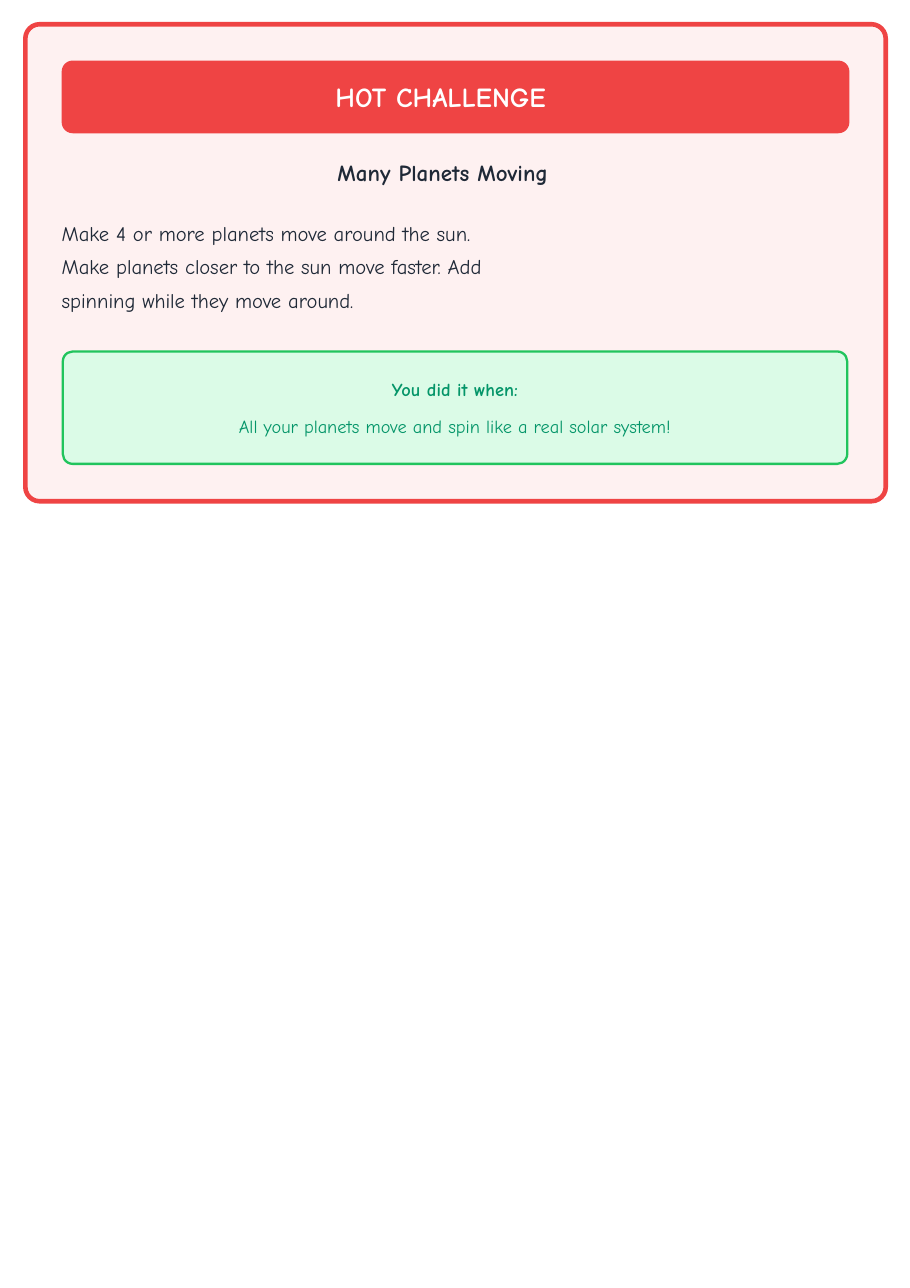
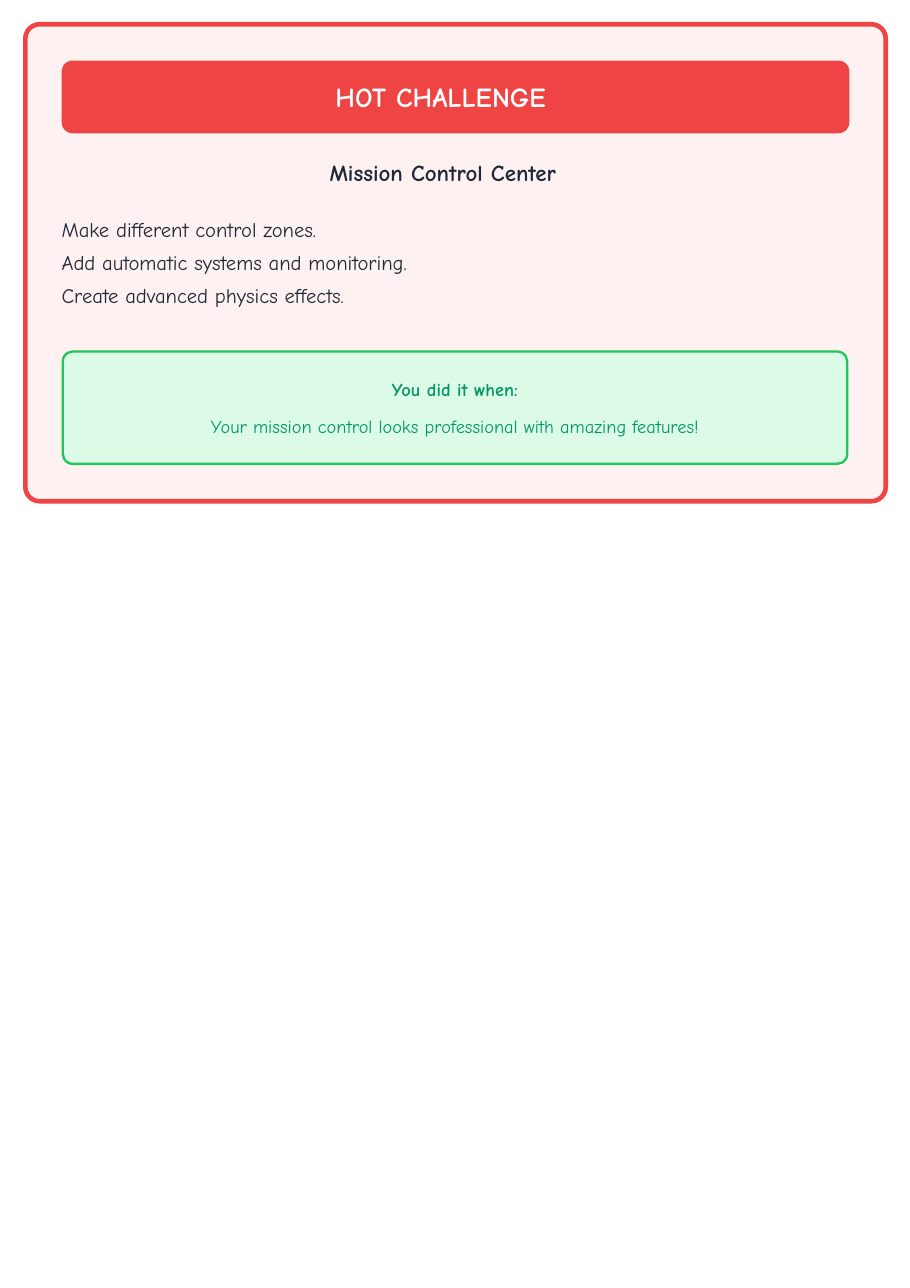
from pptx import Presentation
from pptx.dml.color import RGBColor
from pptx.enum.shapes import MSO_SHAPE
from pptx.enum.text import MSO_ANCHOR, PP_ALIGN
from pptx.util import Inches, Pt

FONT = "Comic Neue"
RED, PINK, WHITE, INK = "EF4444", "FEF1F1", "FFFFFF", "1F2937"
GREEN, MINT, DARK_GREEN = "21C45D", "DBFBE7", "049569"

CHALLENGES = [
    {
        "title": "Many Planets Moving",
        "steps_top": 1.93,
        "steps": [
            "Make 4 or more planets move around the sun.",
            "Make planets closer to the sun move faster. Add spinning while they move around.",
        ],
        "goal": "All your planets move and spin like a real solar system!",
    },
    {
        "title": "Mission Control Center",
        "steps_top": 1.89,
        "steps": [
            "Make different control zones.",
            "Add automatic systems and monitoring.",
            "Create advanced physics effects.",
        ],
        "goal": "Your mission control looks professional with amazing features!",
    },
]


def add_panel(slide, left, top, width, height, radius, fill, line=None, line_width=0):
    shape = slide.shapes.add_shape(
        MSO_SHAPE.ROUNDED_RECTANGLE,
        Inches(left), Inches(top), Inches(width), Inches(height))
    shape.adjustments[0] = radius / height
    shape.shadow.inherit = False
    shape.fill.solid()
    shape.fill.fore_color.rgb = RGBColor.from_string(fill)
    if line:
        shape.line.color.rgb = RGBColor.from_string(line)
        shape.line.width = Pt(line_width)
    else:
        shape.line.fill.background()
    return shape


def write(shape, lines, size, color, align=PP_ALIGN.CENTER, anchor=MSO_ANCHOR.MIDDLE,
          spacing=1.0, gap=0, right_inset=0):
    """Fill a shape with paragraphs given as (text, bold) pairs."""
    frame = shape.text_frame
    frame.word_wrap = True
    frame.vertical_anchor = anchor
    frame.margin_left = frame.margin_top = frame.margin_bottom = 0
    frame.margin_right = Inches(right_inset)
    for index, (text, bold) in enumerate(lines):
        paragraph = frame.add_paragraph() if index else frame.paragraphs[0]
        paragraph.text = text
        paragraph.alignment = align
        paragraph.line_spacing = spacing
        paragraph.space_before = Pt(gap if index else 0)
        paragraph.font.name = FONT
        paragraph.font.size = Pt(size)
        paragraph.font.bold = bold
        paragraph.font.color.rgb = RGBColor.from_string(color)


presentation = Presentation()
presentation.slide_width = Inches(8.26)
presentation.slide_height = Inches(11.69)

for challenge in CHALLENGES:
    slide = presentation.slides.add_slide(presentation.slide_layouts[6])

    # Card and banner
    add_panel(slide, 0.23, 0.22, 7.81, 4.33, 0.13, PINK, RED, 3)
    banner = add_panel(slide, 0.56, 0.55, 7.15, 0.66, 0.1, RED)
    write(banner, [("HOT CHALLENGE", True)], 18, WHITE, right_inset=0.27)

    # Challenge title
    title = slide.shapes.add_textbox(Inches(0.56), Inches(1.44), Inches(6.92), Inches(0.26))
    write(title, [(challenge["title"], True)], 15, INK, anchor=MSO_ANCHOR.TOP)

    # Steps
    steps = slide.shapes.add_textbox(
        Inches(0.56), Inches(challenge["steps_top"]), Inches(4.14), Inches(0.92))
    write(steps, [(step, False) for step in challenge["steps"]], 13.5, INK,
          PP_ALIGN.LEFT, MSO_ANCHOR.TOP, spacing=1.34)

    # Success box
    success = add_panel(slide, 0.57, 3.19, 7.12, 1.02, 0.09, MINT, GREEN, 1.5)
    write(success, [("You did it when:", True), (challenge["goal"], False)],
          12, DARK_GREEN, gap=10.3)

presentation.save("out.pptx")
